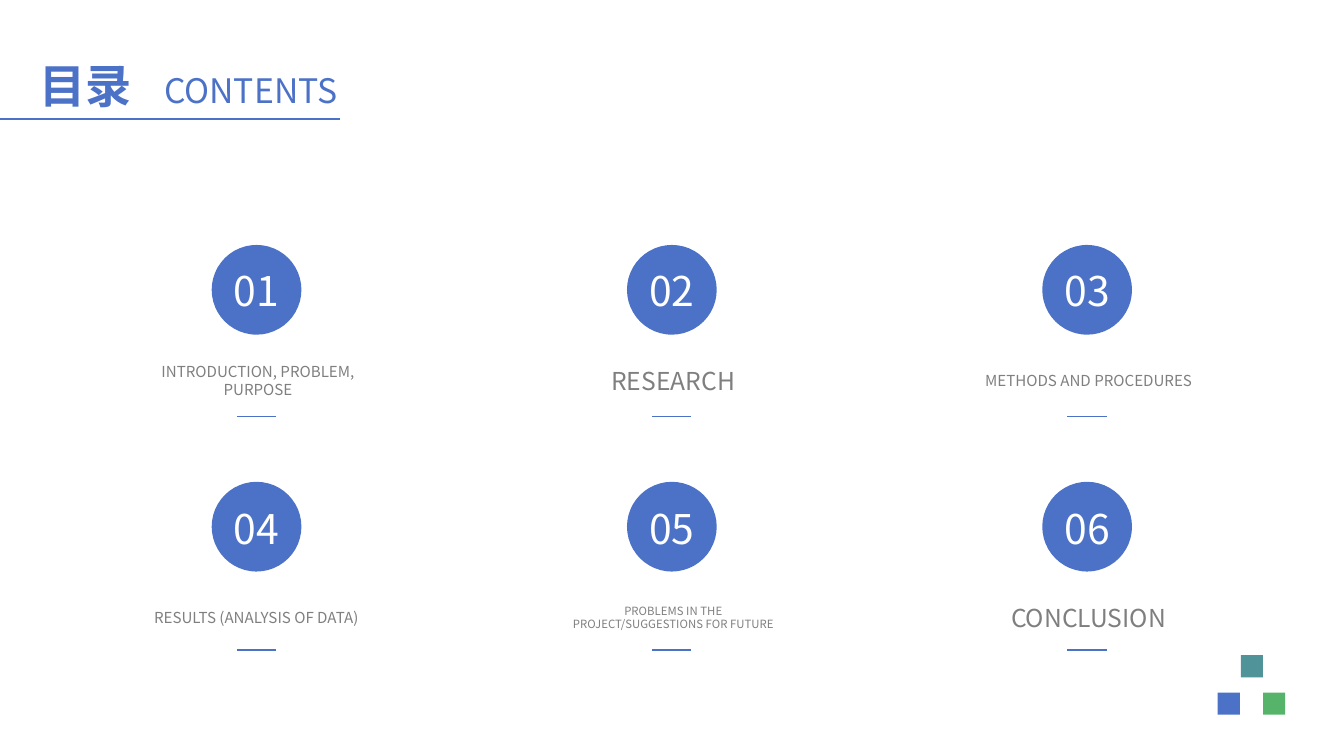
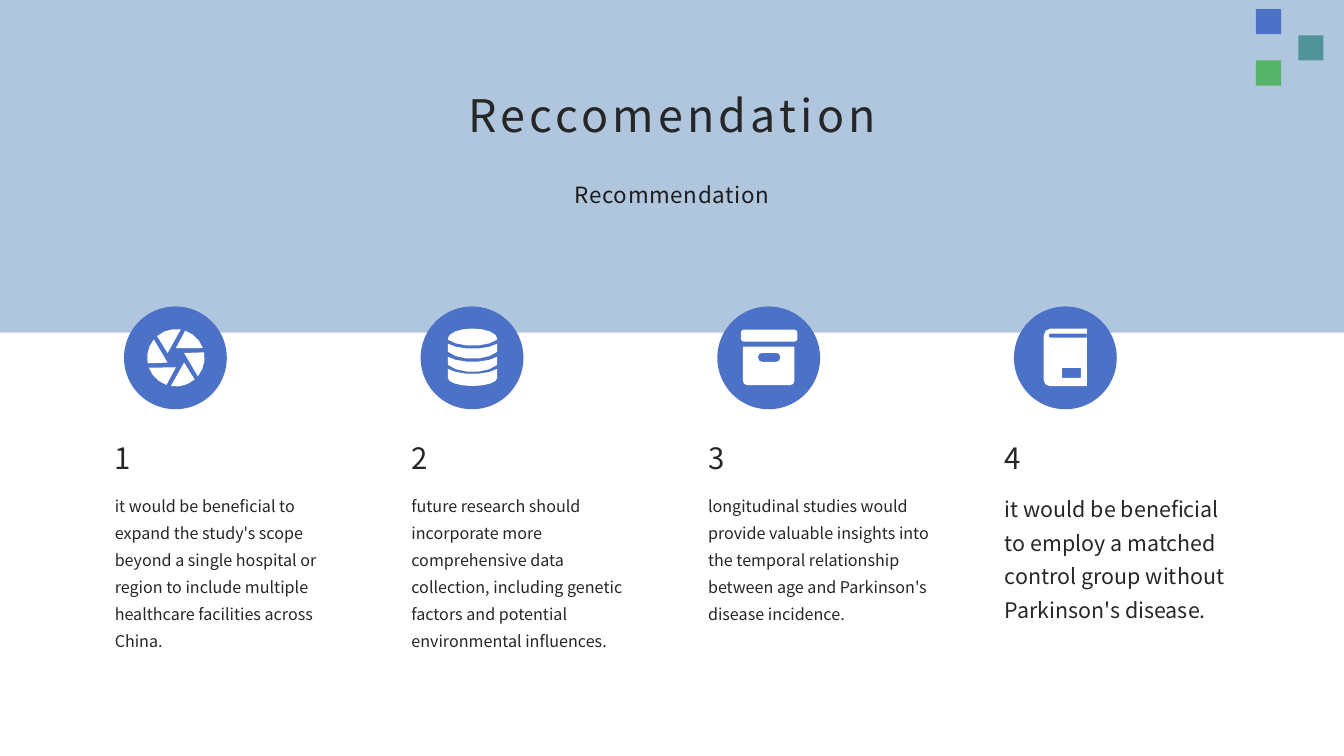
import math

import pptx
import pptx.dml.color
import pptx.enum.shapes
import pptx.enum.text
import pptx.oxml.ns
import pptx.util
from lxml import etree

PX = 9144  # one px is a hundredth of an inch
FONT = "Noto Sans CJK SC"
BLUE, TEAL, GREEN = "4C72C7", "509399", "55B469"
SKY, WHITE, GRAY, INK, DARK = "B0C6DE", "FFFFFF", "7F7F7F", "262626", "1D1D1D"

SHAPE = pptx.enum.shapes.MSO_SHAPE
LEFT = pptx.enum.text.PP_ALIGN.LEFT
MID = pptx.enum.text.PP_ALIGN.CENTER
TOP = pptx.enum.text.MSO_ANCHOR.TOP
HALF = pptx.enum.text.MSO_ANCHOR.MIDDLE

TOPICS = [
    ("INTRODUCTION, PROBLEM, PURPOSE", 10.8),
    ("RESEARCH", 17.6),
    ("METHODS AND PROCEDURES", 10.8),
    ("RESULTS (ANALYSIS OF DATA) ", 10.8),
    ("PROBLEMS IN THE PROJECT/SUGGESTIONS FOR FUTURE", 8.1),
    ("CONCLUSION", 17.6),
]


def emu(*px):
    return [round(n * PX) for n in px]


def rgb(code):
    return pptx.dml.color.RGBColor.from_string(code)


def paint(shape, color):
    shape.shadow.inherit = False
    shape.fill.solid()
    shape.fill.fore_color.rgb = rgb(color)
    shape.line.fill.background()
    return shape


def shape(shapes, kind, box, color):
    return paint(shapes.add_shape(kind, *emu(*box)), color)


def write(item, text, size, color, align=LEFT, anchor=TOP, pad=(10, 5),
          lead=1.0, after=0, bold=False, track=0):
    """Set one styled run; lead is line spacing, track is in 1/100 pt."""
    frame = item.text_frame
    frame.word_wrap = True
    frame.auto_size = pptx.enum.text.MSO_AUTO_SIZE.NONE
    frame.vertical_anchor = anchor
    frame.margin_left = frame.margin_right = emu(pad[0])[0]
    frame.margin_top = frame.margin_bottom = emu(pad[1])[0]
    para = frame.paragraphs[0]
    para.alignment = align
    para.line_spacing = lead
    para.space_before = pptx.util.Pt(0)
    para.space_after = pptx.util.Pt(after)
    run = para.add_run()
    run.text = text
    font = run.font
    font.size = pptx.util.Pt(size)
    font.bold = bold
    font.color.rgb = rgb(color)
    font.name = FONT
    props = run._r.get_or_add_rPr()
    if track:
        props.set("spc", str(track))
    east = etree.SubElement(props, pptx.oxml.ns.qn("a:ea"))
    east.set("typeface", FONT)


def label(slide, box, *args, **style):
    write(slide.shapes.add_textbox(*emu(*box)), *args, **style)


def place(holder, box, *args, **style):
    """Move a placeholder and fill it."""
    holder.left, holder.top, holder.width, holder.height = emu(*box)
    write(holder, *args, **style)


def rule(slide, x, y, width):
    line = slide.shapes.add_connector(
        pptx.enum.shapes.MSO_CONNECTOR.STRAIGHT, *emu(x, y, x + width, y))
    line.line.color.rgb = rgb(BLUE)
    line.line.width = pptx.util.Pt(1)
    etree.SubElement(line._element.spPr, pptx.oxml.ns.qn("a:effectLst"))


def squares(slide, size, spots):
    group = slide.shapes.add_group_shape()
    for (x, y), color in zip(spots, (BLUE, TEAL, GREEN)):
        shape(group.shapes, SHAPE.RECTANGLE, (x, y, size, size), color)


def arc(x, y, wide, high, start, end):
    """Points on an ellipse, angles in degrees clockwise from the right."""
    if not wide:
        return [(x, y)]
    steps = math.ceil(abs(end - start) / (25 if wide > 9 else 45))
    turns = [math.radians(start + (end - start) * i / steps)
             for i in range(steps + 1)]
    return [(x + wide * math.cos(t), y + high * math.sin(t)) for t in turns]


def panel(x, y, width, height, radii):
    """Rectangle with radii for its corners, clockwise from top left."""
    a, b, c, d = radii
    right, low = x + width, y + height
    return (arc(x + a, y + a, a, a, 180, 270)
            + arc(right - b, y + b, b, b, 270, 360)
            + arc(right - c, low - c, c, c, 0, 90)
            + arc(x + d, low - d, d, d, 90, 180))


def shutter():
    return [arc(0, 0, 28.5, 28.5, 109 + turn, 160 + turn)
            + arc(0, 0, 9.5, 9.5, 90 + turn, 91 + turn)[:1]
            for turn in range(0, 360, 60)]


def sag(y, depth, flip=False):
    """Shallow curve hanging between the two sides of the drum."""
    ends = (150, 30) if flip else (30, 150)
    return arc(0, y - depth, 24.5 / math.cos(math.pi / 6), depth * 2, *ends)


def drum():
    lid = arc(0, -19, 24.5, 10, 180, 360) + sag(-18, 6)
    rings = [sag(y, 5, True) + sag(y + 8, 7) for y in (-14, -1)]
    base = sag(11, 5, True) + arc(0, 20, 24.5, 8, 0, 180)
    return [lid, *rings, base]


def crate():
    return [panel(-28, -28, 56, 12, (3, 3, 3, 3)),
            panel(-26, -11, 51, 38, (0, 0, 4, 4)),
            panel(-11, -5, 22, 9, (4, 4, 4, 4))]


def book():
    return [panel(-22, -29, 43, 57, (7, 0, 0, 6)),
            panel(-17, -24, 38, 4, (2, 0, 0, 2)),
            panel(-4, 10, 19, 10, (0, 0, 0, 0))]


def icon(slide, x, y, loops):
    """Draw closed loops as one white outline centred on x, y."""
    paths = [[emu(x + dx, y + dy) for dx, dy in loop] for loop in loops]
    pen = slide.shapes.build_freeform(*paths[0][0], scale=1.0)
    for i, pts in enumerate(paths):
        if i:
            pen.move_to(*pts[0])
        pen.add_line_segments(pts[1:], close=True)
    paint(pen.convert_to_shape(), WHITE)


def topic(slide, i, text, size):
    row, col = divmod(i, 3)
    x, y = 210 + 412 * col, 243 + 235 * row
    shape(slide.shapes, SHAPE.OVAL, (x, y, 89, 89), BLUE)
    label(slide, (x + 1, y + 14 + row, 87, 61), f"{i + 1:02}", 29.2, WHITE,
          MID, HALF)
    label(slide, (x - 74, y + 114, 240, 41), text, size, GRAY, MID, HALF)
    rule(slide, x + 25, 413 + 232 * row, 39)


def advice(slide, i, draw, text, size, lead):
    x = 104 + 294.3 * i
    shape(slide.shapes, SHAPE.OVAL, (x + 19, 304, 102, 102), BLUE)
    icon(slide, x + 70.5, 355, draw())
    label(slide, (x, 480, 242, 143), text, size, INK, lead=lead)
    label(slide, (x, 432, 242, 48), str(i + 1), 21, INK)


def contents(deck):
    slide = deck.slides.add_slide(deck.slide_layouts[5])
    place(slide.shapes.title, (29, 51, 123, 67), "目录", 33, BLUE,
          anchor=HALF, bold=True)
    label(slide, (153, 50, 210, 78), "CONTENTS", 24.1, BLUE, anchor=HALF)
    rule(slide, 0, 118, 337)
    squares(slide, 22, [(1208, 687), (1231, 650), (1253, 687)])
    for i, (text, size) in enumerate(TOPICS):
        topic(slide, i, text, size)


def advise(deck):
    slide = deck.slides.add_slide(deck.slide_layouts[0])
    band = shape(slide.shapes, SHAPE.RECTANGLE, (0, 0, 1333.33, 330), SKY)
    slide.shapes._spTree.insert(2, band._element)  # behind the title
    squares(slide, 25, [(1246, 9), (1288, 35), (1246, 60)])
    place(slide.shapes.title, (67, 83, 1200, 69), "Reccomendation", 32, INK,
          MID, pad=(8, 4), after=8, track=300)
    place(slide.placeholders[1], (67, 168, 1200, 42), "Recommendation", 16,
          DARK, MID, HALF, pad=(12, 4), lead=1.3, after=8, track=50)
    tips = [
        (shutter, "it would be beneficial to expand the study's scope beyond "
         "a single hospital or region to include multiple healthcare "
         "facilities across China.", 11.5, 1.4),
        (drum, "future research should incorporate more comprehensive data "
         "collection, including genetic factors and potential environmental "
         "influences.", 11.5, 1.4),
        (crate, "longitudinal studies would provide valuable insights into "
         "the temporal relationship between age and Parkinson's disease "
         "incidence.", 11.5, 1.4),
        (book, "it would be beneficial to employ a matched control group "
         "without Parkinson's disease.", 15.3, 1.3),
    ]
    for i, tip in enumerate(tips):
        advice(slide, i, *tip)


def main():
    deck = pptx.Presentation()
    deck.slide_width, deck.slide_height = emu(1333.33, 750)
    contents(deck)
    advise(deck)
    deck.save("out.pptx")


if __name__ == "__main__":
    main()
